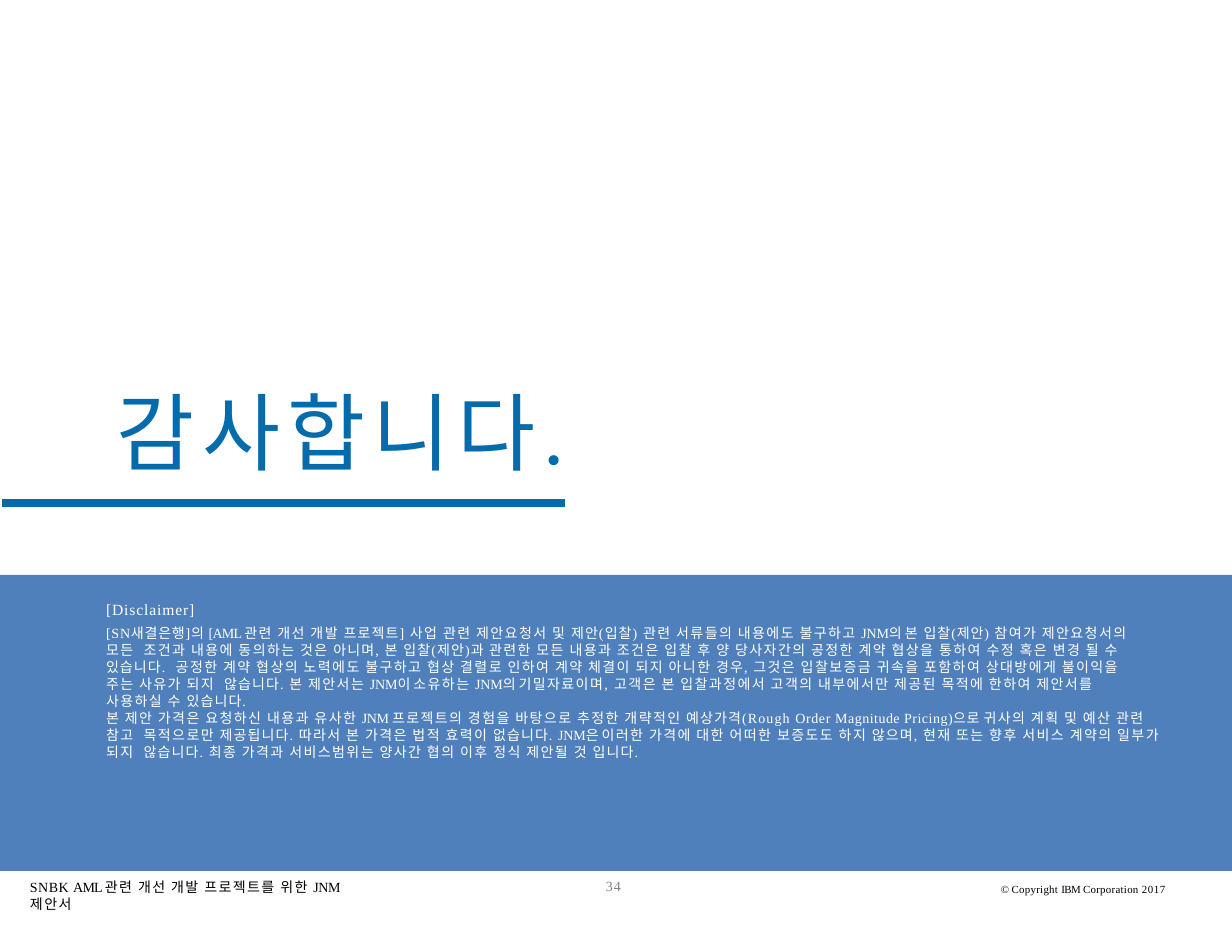
from lxml import etree
from pptx import Presentation
from pptx import util as u
from pptx.dml.color import RGBColor
from pptx.enum import shapes, text
from pptx.oxml.ns import qn

PX = 914400 / 112
BLUE = RGBColor(0x05, 0x6B, 0xAA)
BAND_BLUE = RGBColor(0x4F, 0x80, 0xBC)
WHITE = RGBColor(0xFF, 0xFF, 0xFF)
BLACK = RGBColor(0, 0, 0)
GRAY = RGBColor(0x80, 0x80, 0x80)
LATIN, KOREAN = "Times New Roman", "Noto Sans CJK JP"

# Every paragraph is a list of (wording, letter spacing in points).
HEADING = [("[Disclaimer]", 0.6)]
TERMS = [
    ("[SN새결은행]의 ", 0.5), ("[AML ", -0.5), ("관련 개선 개발 ", 0.9),
    ("프로젝트] ", 0.7), ("사업 관련 제안요청서 및 ", 0.9), ("제안(입찰) ", 0.7),
    ("관련 서류들의 내용에도 불구하고 ", 0.9), ("JNM의 ", -0.1), ("본 ", 0.9),
    ("입찰(제안) ", 0.6), ("참여가 제안요청서의 모든  조건과 내용에 동의하는 것은 ", 0.9),
    ("아니며, ", 0.7), ("본 ", 0.9), ("입찰(제안)과 ", 0.7),
    ("관련한 모든 내용과 조건은 입찰 후 양 당사자간의 공정한 계약 협상을 통하여 "
     "수정 혹은 변경 될 수 ", 0.9),
    ("있습니다.  ", 0.7),
    ("공정한 계약 협상의 노력에도 불구하고 협상 결렬로 인하여 계약 체결이 "
     "되지 아니한 ", 0.9),
    ("경우, ", 0.7),
    ("그것은 입찰보증금 귀속을 포함하여 상대방에게 불이익을 주는 사유가 되지  ", 0.9),
    ("않습니다. ", 0.7), ("본 제안서는 ", 0.9), ("JNM이 ", -0.1), ("소유하는 ", 0.9),
    ("JNM의 ", -0.1),
    ("기밀자료이며, 고객은 본 입찰과정에서 고객의 내부에서만 제공된 목적에 "
     "한하여 제안서를 사용하실 수 ", 0.9),
    ("있습니다.", 0.7),
]
PRICING = [
    ("본 제안 가격은 요청하신 내용과 유사한 ", 0.9), ("JNM ", -0.3),
    ("프로젝트의 경험을 바탕으로 추정한 개략적인 ", 0.9), ("예상가격(Rough ", 0.7),
    ("Order ", 0.4), ("Magnitude Pricing)으로 ", 0.3),
    ("귀사의 계획 및 예산 관련 참고  목적으로만 ", 0.9), ("제공됩니다. ", 0.7),
    ("따라서 본 가격은 법적 효력이 ", 0.9), ("없습니다. ", 0.7), ("JNM은 ", -0.1),
    ("이러한 가격에 대한 어떠한 보증도도 하지 ", 0.9), ("않으며, ", 0.7),
    ("현재 또는 향후 서비스 계약의 일부가 되지  ", 0.9), ("않습니다. ", 0.7),
    ("최종 가격과 서비스범위는 양사간 협의 이후 정식 제안될 것 ", 0.9), ("입니다.", 0.7),
]
TITLE = [("감사합니다", 4.7), (".", 1.6)]
PROPOSAL = [("SNBK ", 0.3), ("AML ", -0.5), ("관련 개선 개발 프로젝트를 위한 ", 0.9),
            ("JNM ", -0.3), ("제안서", 0.9)]
PAGE_NUMBER = [("34", 0.6)]
COPYRIGHT = [("© ", -0.1), ("Copyright ", 0.2), ("IBM ", -0.3),
             ("Corporation ", 0.2), ("2017", 0.4)]

# (left, top, width, height), top inset, colour,
# paragraphs as (wording, size, space before, line spacing, left and right margin)
BOXES = [
    ((104, 591, 1062, 155), 9, WHITE, [(HEADING, 10, 0, 1, 2, 0),
                                       (TERMS, 9, 3.8, 1.01, 2, 21),
                                       (PRICING, 9, 0.1, 1.01, 2, 0)]),
    ((115, 378, 454, 105), 2, BLUE, [(TITLE, 54.5, 0, 1, 2, 0)]),
    ((28, 877, 355, 26), 2, BLACK, [(PROPOSAL, 9, 0, 1, 2, 0)]),
    ((604, 877, 22, 19), 0, GRAY, [(PAGE_NUMBER, 9, 0, 1, 2, 0)]),
    ((999, 883, 168, 16), 0, BLACK, [(COPYRIGHT, 7, 0, 1, 2, 0)]),
]


def px(value):
    return u.Emu(round(value * PX))


def split_by_font(wording):
    """Cut wording where the script changes; a space stays with what precedes it."""
    parts = []
    for letter in wording:
        font = KOREAN if "가" <= letter <= "힣" else LATIN
        if parts and (letter == " " or parts[-1][1] == font):
            parts[-1][0] += letter
        else:
            parts.append([letter, font])
    return parts


def add_span(para, wording, font, size, spacing, colour):
    span = para.add_run()
    span.text = wording
    for name, value in {"name": font, "size": u.Pt(size)}.items():
        setattr(span.font, name, value)
    span.font.color.rgb = colour
    properties = span.font._element
    properties.set("spc", str(round(spacing * 100)))
    east_asian = etree.SubElement(properties, qn("a:ea"))
    east_asian.set("typeface", font)


def add_text(page, place, inset, colour, paragraphs):
    frame = page.shapes.add_textbox(*map(px, place)).text_frame
    layout = {"word_wrap": True, "auto_size": text.MSO_AUTO_SIZE.SHAPE_TO_FIT_TEXT,
              "margin_left": 0, "margin_right": 0,
              "margin_top": px(inset), "margin_bottom": 0}
    for name, value in layout.items():
        setattr(frame, name, value)
    for number, (content, size, before, spacing, left, right) in enumerate(paragraphs):
        para = frame.add_paragraph() if number else frame.paragraphs[0]
        para.space_before = u.Pt(before)
        para.line_spacing = spacing
        for name, margin in {"marL": left, "marR": right}.items():
            para._p.get_or_add_pPr().set(name, str(px(margin)))
        for wording, letter_spacing in content:
            for part, font in split_by_font(wording):
                add_span(para, part, font, size, letter_spacing, colour)


def add_band(page):
    band = page.shapes.add_shape(shapes.MSO_SHAPE.RECTANGLE,
                                 *map(px, (0, 575, 1232, 296)))
    band.shadow.inherit = False
    band.fill.solid()
    band.fill.fore_color.rgb = BAND_BLUE
    band.line.fill.background()


def add_title_rule(page):
    rule = page.shapes.add_connector(shapes.MSO_CONNECTOR.STRAIGHT,
                                     *map(px, (2, 503, 565, 503)))
    rule.line.color.rgb = BLUE
    rule.line.width = u.Pt(4.56)
    etree.SubElement(rule._element.spPr, qn("a:effectLst"))


def main():
    deck = Presentation()
    deck.slide_width, deck.slide_height = px(1232), px(952)
    page = deck.slides.add_slide(deck.slide_layouts[6])
    add_band(page)
    add_title_rule(page)
    for box in BOXES:
        add_text(page, *box)
    deck.save("out.pptx")


if __name__ == "__main__":
    main()
